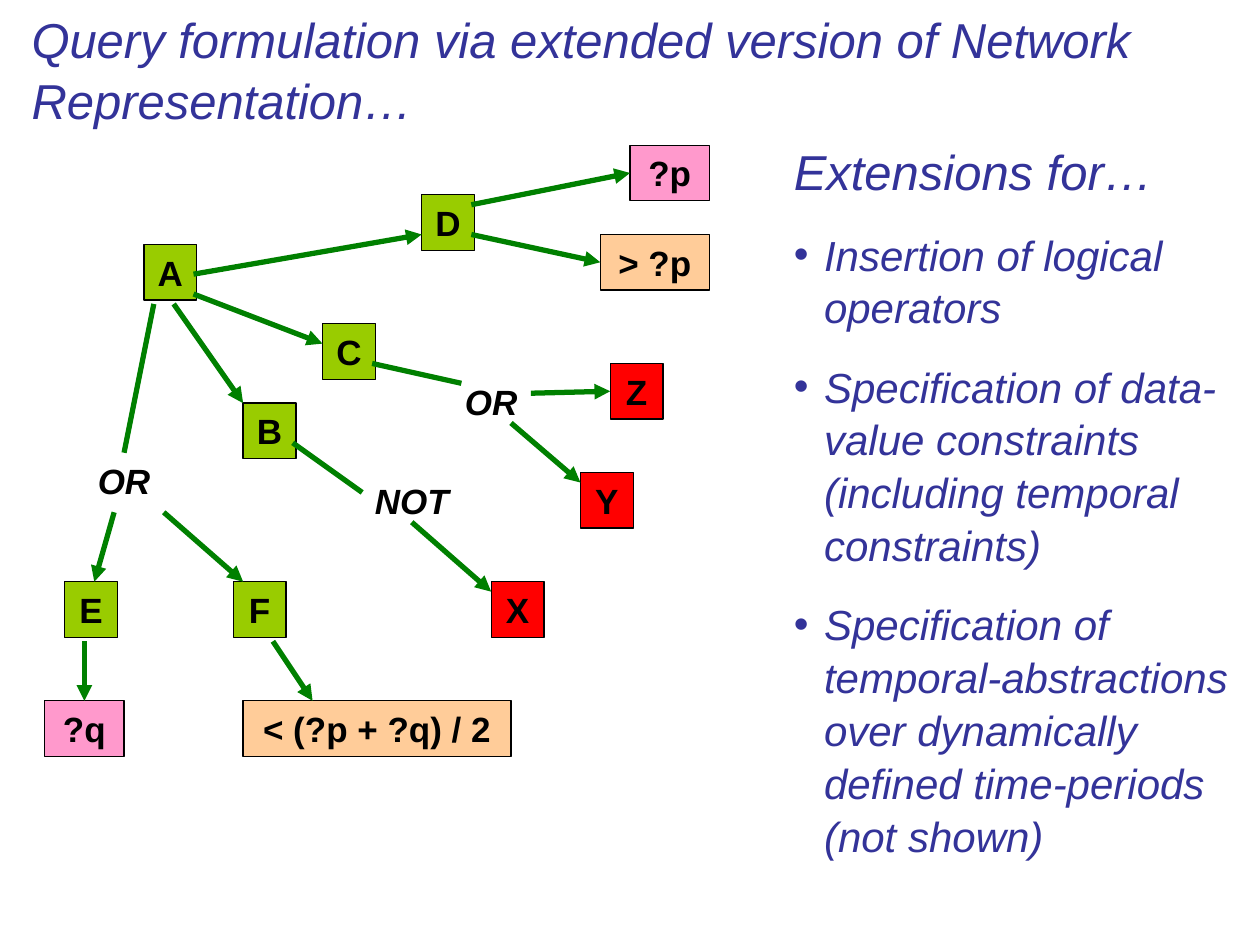
from dataclasses import dataclass

from lxml import etree
from pptx import Presentation, util as u
from pptx.dml.color import RGBColor
from pptx.enum import shapes, text
from pptx.oxml.ns import qn


@dataclass(frozen=True)
class Theme:
    font: str = "Arial"
    heading: RGBColor = RGBColor(0x33, 0x33, 0x99)
    ink: RGBColor = RGBColor(0, 0, 0)
    arrow: RGBColor = RGBColor(0, 0x80, 0)
    concept: RGBColor = RGBColor(0x99, 0xCC, 0)
    value: RGBColor = RGBColor(0xFF, 0, 0)
    variable: RGBColor = RGBColor(0xFF, 0x99, 0xCC)
    constraint: RGBColor = RGBColor(0xFF, 0xCC, 0x99)
    title_size: int = 28
    list_size: int = 24
    node_size: int = 20
    line_spacing: float = 1.05


THEME = Theme()
WIDTH, HEIGHT = u.Inches(10), u.Inches(7.5)

# Diagram grid: 2 mm cells, shifted slightly from the slide corner
CELL = u.Mm(2)
GRID_LEFT, GRID_TOP = u.Inches(0.04), u.Inches(0.05)
SQUARE, NODE_ROWS = 5.33, 5.6

# Label: (column, row, columns wide, fill)
NODES = {
    "A": (14, 24, SQUARE, THEME.concept),
    "B": (24, 40, SQUARE, THEME.concept),
    "C": (32, 32, SQUARE, THEME.concept),
    "D": (42, 19, SQUARE, THEME.concept),
    "E": (6, 58, SQUARE, THEME.concept),
    "F": (23, 58, SQUARE, THEME.concept),
    "X": (49, 58, SQUARE, THEME.value),
    "Y": (58, 47, SQUARE, THEME.value),
    "Z": (61, 36, SQUARE, THEME.value),
    "?p": (63, 14, 8, THEME.variable),
    "?q": (4, 70, 8, THEME.variable),
    "> ?p": (60, 23, 11, THEME.constraint),
    "< (?p + ?q) / 2": (24, 70, 27, THEME.constraint),
}
# (label, column, row, columns wide)
OPERATORS = [("OR", 6, 45, 12), ("OR", 45, 37, 8), ("NOT", 36, 47, 10)]
# Start and end cells
ARROWS = [
    ((19, 29), (32, 34)),  # A to C
    ((19, 27), (42, 23)),  # A to D
    ((17, 30), (24, 40)),  # A to B
    ((11, 51), (9, 58)),   # OR to E
    ((16, 51), (24, 58)),  # OR to F
    ((27, 64), (31, 70)),  # F to its constraint
    ((41, 52), (49, 59)),  # NOT to X
    ((51, 42), (58, 48)),  # OR to Y
]
PLAIN_LINES = [
    ((15, 30), (12, 45)),  # A to OR
    ((37, 36), (46, 38)),  # C to OR
    ((29, 44), (36, 49)),  # B to NOT
]
# Start cell, end cell, joined node and its side
JOINED_ARROWS = [
    ((8, 64), (8, 70), "?q", 0),
    ((47, 20), (63, 17), "?p", 1),
    ((47, 23), (60, 26), "> ?p", 1),
    ((53, 39), (61, 39), "Z", 1),
]

TITLE = "Query formulation via extended version of Network Representation…"
LIST_HEADING = "Extensions for…"
EXTENSIONS = [
    "Insertion of logical operators",
    "Specification of data-value constraints (including temporal constraints)",
    "Specification of temporal-abstractions over dynamically defined "
    "time-periods (not shown)",
]


def at_cell(column, row):
    return int(GRID_LEFT + column * CELL), int(GRID_TOP + row * CELL)


def place(shape, left, top, width, height):
    """Position a shape by shares of the slide's size."""
    shape.left, shape.top = int(left * WIDTH), int(top * HEIGHT)
    shape.width, shape.height = int(width * WIDTH), int(height * HEIGHT)


def style(paragraph, size, color, bold=False, italic=False):
    font = paragraph.font
    font.name, font.size = THEME.font, u.Pt(size)
    font.bold, font.italic = bold, italic
    font.color.rgb = color


def label(shape, words, italic=False):
    frame = shape.text_frame
    frame.word_wrap = False
    frame.vertical_anchor = text.MSO_ANCHOR.MIDDLE
    paragraph = frame.paragraphs[0]
    paragraph.text = words
    paragraph.alignment = text.PP_ALIGN.CENTER
    style(paragraph, THEME.node_size, THEME.ink, bold=True, italic=italic)


def add_node(slide, words, column, row, columns, fill):
    shape = slide.shapes.add_shape(
        shapes.MSO_SHAPE.RECTANGLE, *at_cell(column, row),
        int(columns * CELL), int(NODE_ROWS * CELL))
    shape.shadow.inherit = False
    shape.fill.solid()
    shape.fill.fore_color.rgb = fill
    shape.line.color.rgb = THEME.ink
    shape.line.width = u.Pt(0.75)
    label(shape, words)
    return shape


def add_operator(slide, words, column, row, columns):
    box = slide.shapes.add_textbox(
        *at_cell(column, row), int(columns * CELL), int(NODE_ROWS * CELL))
    label(box, words, italic=True)


def add_line(slide, start, end, arrow=True):
    line = slide.shapes.add_connector(
        shapes.MSO_CONNECTOR.STRAIGHT, *at_cell(*start), *at_cell(*end))
    line.line.color.rgb = THEME.arrow
    line.line.width = u.Pt(3)
    if arrow:
        etree.SubElement(line.line._get_or_add_ln(), qn("a:tailEnd"), type="triangle")
    etree.SubElement(line._element.spPr, qn("a:effectLst"))
    return line


def fill_title(slide):
    title = slide.shapes.title
    place(title, 0.02, 0, 0.96, 0.15)
    frame = title.text_frame
    frame.text = TITLE
    frame.auto_size = text.MSO_AUTO_SIZE.NONE
    frame.vertical_anchor = text.MSO_ANCHOR.TOP
    frame.margin_left = frame.margin_right = u.Inches(0.05)
    paragraph = frame.paragraphs[0]
    paragraph.alignment = text.PP_ALIGN.LEFT
    paragraph.line_spacing = THEME.line_spacing
    style(paragraph, THEME.title_size, THEME.heading, italic=True)


def fill_list(slide):
    body = slide.placeholders[1]
    place(body, 0.62, 0.14, 0.38, 0.75)
    frame = body.text_frame
    frame.text = "\n".join([LIST_HEADING, *EXTENSIONS])
    frame.auto_size = text.MSO_AUTO_SIZE.NONE
    for index, paragraph in enumerate(frame.paragraphs):
        is_heading = index == 0
        paragraph.line_spacing = THEME.line_spacing
        paragraph.space_before = u.Pt(17.5 if is_heading else 15)
        style(paragraph, THEME.title_size if is_heading else THEME.list_size,
              THEME.heading, italic=True)
        # Hanging bullets below an unbulleted heading
        indent = 0 if is_heading else u.Inches(0.24)
        properties = paragraph._p.get_or_add_pPr()
        properties.set("marL", str(indent))
        properties.set("indent", str(-indent))
        bullet = properties.makeelement(qn("a:buNone" if is_heading else "a:buChar"))
        if not is_heading:
            bullet.set("char", "•")
        properties.find(qn("a:defRPr")).addprevious(bullet)


def main():
    presentation = Presentation()
    presentation.slide_width, presentation.slide_height = WIDTH, HEIGHT
    slide = presentation.slides.add_slide(presentation.slide_layouts[1])

    # Title and list
    fill_title(slide)
    fill_list(slide)

    # Query network
    nodes = {words: add_node(slide, words, *cell) for words, cell in NODES.items()}
    for operator in OPERATORS:
        add_operator(slide, *operator)
    for start, end in ARROWS:
        add_line(slide, start, end)
    for start, end in PLAIN_LINES:
        add_line(slide, start, end, arrow=False)
    for start, end, target, side in JOINED_ARROWS:
        add_line(slide, start, end).end_connect(nodes[target], side)

    presentation.save("out.pptx")


if __name__ == "__main__":
    main()
